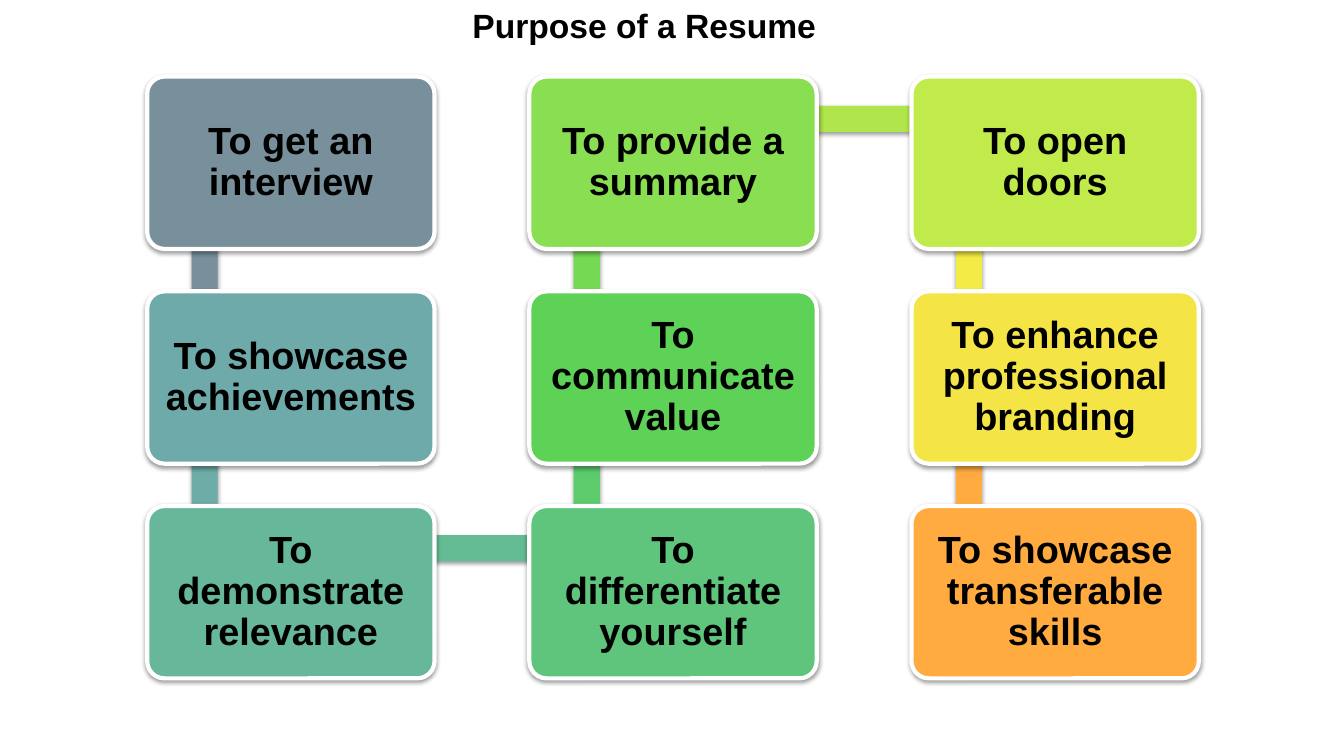
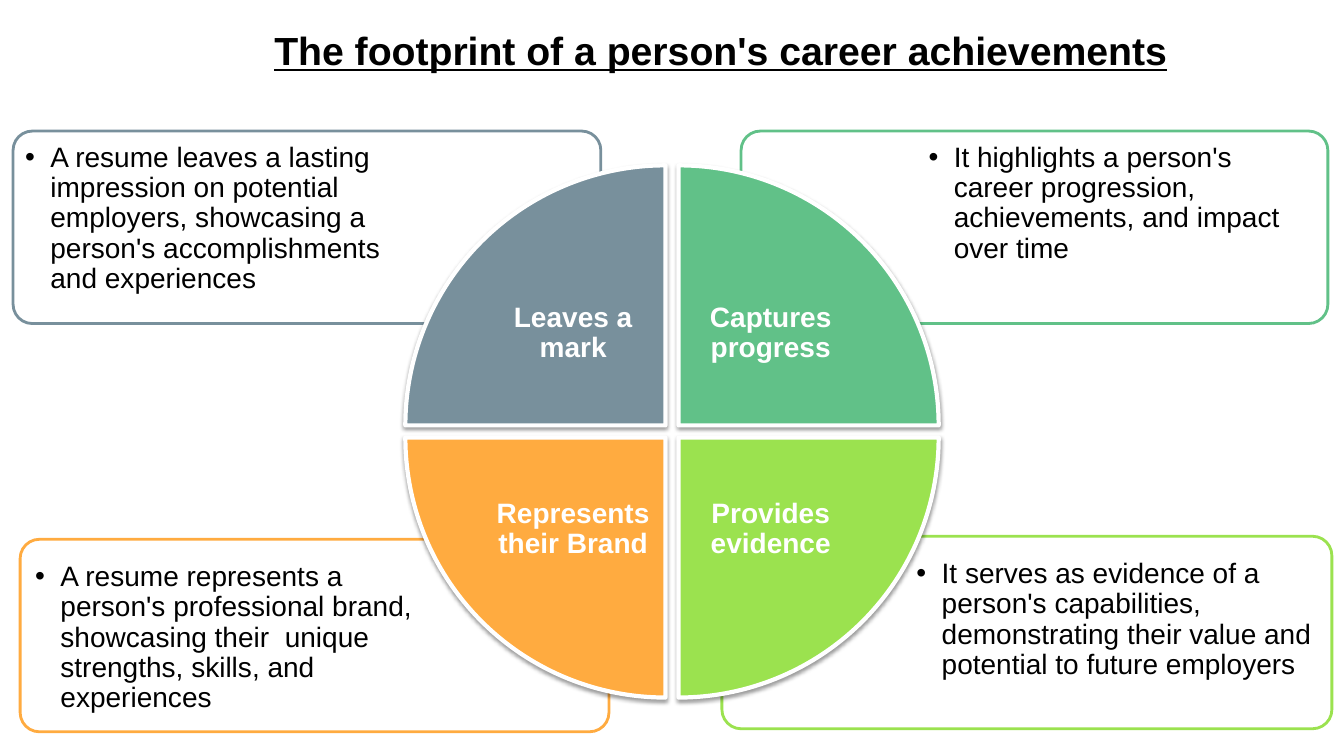
from lxml import etree
from pptx import Presentation
from pptx.dml.color import RGBColor
from pptx.enum.shapes import MSO_SHAPE as Shape
from pptx.enum.text import MSO_ANCHOR as Anchor, MSO_AUTO_SIZE as AutoSize, PP_ALIGN as Align
from pptx.oxml import parse_xml
from pptx.oxml.ns import nsdecls, qn
from pptx.util import Inches, Pt

BLACK, WHITE = "000000", "FFFFFF"
SLATE, ORANGE, LIME, JADE = "78909C", "FFAB40", "9BE24F", "61C188"


def color(value):
    return RGBColor.from_string(value)


class Deck:
    """Shared style, the presentation and its current slide."""
    font = "Arial"
    line_spacing = 0.9
    corner = 0.1

    def __init__(self):
        self.presentation = Presentation()
        self.presentation.slide_width = Inches(13.33)
        self.presentation.slide_height = Inches(7.5)
        self.slide = None

    def add_slide(self):
        self.slide = self.presentation.slides.add_slide(self.presentation.slide_layouts[5])

    def set_text(self, frame, text, size, text_color=BLACK, bold=True, align=Align.CENTER,
                 anchor=Anchor.MIDDLE, inset=0.1, wrap=True):
        frame.text = text
        frame.word_wrap = wrap
        frame.auto_size = AutoSize.NONE
        frame.vertical_anchor = anchor
        frame.margin_left = frame.margin_right = Inches(inset)
        frame.margin_top = frame.margin_bottom = Inches(inset)
        paragraph = frame.paragraphs[0]
        paragraph.alignment = align
        paragraph.line_spacing = self.line_spacing
        font = paragraph.runs[0].font
        font.name, font.size, font.bold = self.font, Pt(size), bold
        font.color.rgb = color(text_color)
        return paragraph

    def title(self, text, left, top, width, height, size, align, underline=False, wrap=True):
        title = self.slide.shapes.title
        title.left, title.top = Inches(left), Inches(top)
        title.width, title.height = Inches(width), Inches(height)
        paragraph = self.set_text(title.text_frame, text, size, align=align,
                                  anchor=Anchor.TOP, wrap=wrap)
        title.text_frame.margin_top = title.text_frame.margin_bottom = Inches(0.05)
        paragraph.line_spacing = 1.0
        paragraph.runs[0].font.underline = underline

    def shape(self, kind, left, top, width, height, fill, line=None, line_width=3, shadow=True):
        shape = self.slide.shapes.add_shape(
            kind, Inches(left), Inches(top), Inches(width), Inches(height))
        shape.fill.solid()
        shape.fill.fore_color.rgb = color(fill)
        if line:
            shape.line.color.rgb = color(line)
            shape.line.width = Pt(line_width)
        else:
            shape.line.fill.background()
        if kind == Shape.ROUNDED_RECTANGLE:
            shape.adjustments[0] = self.corner
        shape.shadow.inherit = False
        if shadow:
            self.drop_shadow(shape)
        return shape

    def drop_shadow(self, shape):
        effects = shape.element.spPr.find(qn("a:effectLst"))
        effects.append(parse_xml(
            f'<a:outerShdw {nsdecls("a")} blurRad="{Pt(3.1)}" dist="{Pt(1.6)}" dir="5400000" '
            f'rotWithShape="0"><a:srgbClr val="{BLACK}"><a:alpha val="38000"/></a:srgbClr>'
            '</a:outerShdw>'))

    def text_box(self, text, left, top, width, height, size, **style):
        box = self.slide.shapes.add_textbox(
            Inches(left), Inches(top), Inches(width), Inches(height))
        return self.set_text(box.text_frame, text, size, **style)

    def bullet_box(self, text, left, top, width, height):
        paragraph = self.text_box(text, left, top, width, height, 20, bold=False,
                                  align=Align.LEFT, anchor=Anchor.TOP, inset=0.08)
        properties = paragraph._p.get_or_add_pPr()
        properties.set("marL", str(Inches(0.25)))
        properties.set("indent", str(-Inches(0.25)))
        bullet_color = etree.SubElement(properties, qn("a:buClr"))
        etree.SubElement(bullet_color, qn("a:srgbClr")).set("val", BLACK)
        etree.SubElement(properties, qn("a:buFont")).set("typeface", self.font)
        etree.SubElement(properties, qn("a:buChar")).set("char", "•")


def purpose_slide(deck):
    deck.add_slide()
    deck.title("Purpose of a Resume", 1.31, 0, 10.16, 0.5, 24, Align.CENTER)

    # Steps in reading order: column, row, text, card colour, colour of the bar to the next card
    steps = [
        (0, 0, "To get an interview", SLATE, SLATE),
        (0, 1, "To showcase achievements", "6FAAAA", "6EACA8"),
        (0, 2, "To demonstrate relevance", "67B89B", "64BC94"),
        (1, 2, "To differentiate yourself", "5FC57D", "5CCB6C"),
        (1, 1, "To communicate value", "5ED257", "75D954"),
        (1, 0, "To provide a summary", "89DE51", "B0E64C"),
        (2, 0, "To open doors", "C1EA4B", "F3EC46"),
        (2, 1, "To enhance professional branding", "F5E445", ORANGE),
        (2, 2, "To showcase transferable skills", ORANGE, None),
    ]
    column_step, row_step, bar = 3.79, 2.13, 0.26

    def corner(column, row):
        return 1.46 + column * column_step, 0.76 + row * row_step

    # Bars that join each card to the next
    for (column, row, _, _, fill), (next_column, next_row, *_) in zip(steps, steps[1:]):
        left, top = corner(column, min(row, next_row))
        if column == next_column:
            deck.shape(Shape.RECTANGLE, left + 0.44, top + 0.43, bar, 2.12, fill)
        else:
            deck.shape(Shape.RECTANGLE, left + 0.58, top + 0.29, 3.78, bar, fill)

    # Cards
    for column, row, text, fill, _ in steps:
        card = deck.shape(Shape.ROUNDED_RECTANGLE, *corner(column, row), 2.85, 1.71, fill, WHITE)
        deck.set_text(card.text_frame, text, 27, inset=0.11)


def footprint_slide(deck):
    deck.add_slide()
    deck.title("The footprint of a person's career achievements",
               2.62, 0.21, 9.17, 0.57, 28, Align.LEFT, underline=True, wrap=False)

    # Panels: left, top, width, line colour, then left, top, width of the text, and the text
    panels = [
        (7.16, 5.32, 6.05, LIME, 9.01, 5.47, 4.15,
         "It serves as evidence of a person's capabilities, demonstrating their value "
         "and potential to future employers"),
        (0.2, 5.35, 5.84, ORANGE, 0.27, 5.5, 4,
         "A resume represents a person's professional brand, showcasing their  unique "
         "strengths, skills, and experiences"),
        (7.35, 1.3, 5.82, JADE, 9.13, 1.34, 4,
         "It highlights a person's career progression, achievements, and impact over time"),
        (0.13, 1.3, 5.83, SLATE, 0.17, 1.34, 4,
         "A resume leaves a lasting impression on potential employers, showcasing "
         "a person's accomplishments and experiences"),
    ]
    for left, top, width, line, text_left, text_top, text_width, text in panels:
        deck.shape(Shape.ROUNDED_RECTANGLE, left, top, width, 1.91, WHITE, line, 2, shadow=False)
        deck.bullet_box(text, text_left, text_top, text_width, 1.7)

    # Quarters of the wheel, clockwise, with labels near its centre
    quarters = [
        (0, 0, "Leaves a mark", SLATE),
        (1, 0, "Captures progress", JADE),
        (1, 1, "Provides evidence", LIME),
        (0, 1, "Represents their Brand", ORANGE),
    ]
    radius, label = 2.58, 1.83
    for index, (column, row, text, fill) in enumerate(quarters):
        left, top = 4.02 + 2.71 * column, 1.64 + 2.7 * row
        wedge = deck.shape(Shape.PIE_WEDGE, left, top, radius, radius, fill, WHITE)
        wedge.rotation = 90 * index
        deck.text_box(text, left + (radius - label) * (1 - column),
                      top + (radius - label) * (1 - row), label, label, 20,
                      text_color=WHITE, inset=0.14)


def main():
    deck = Deck()
    purpose_slide(deck)
    footprint_slide(deck)
    deck.presentation.save("out.pptx")


if __name__ == "__main__":
    main()
